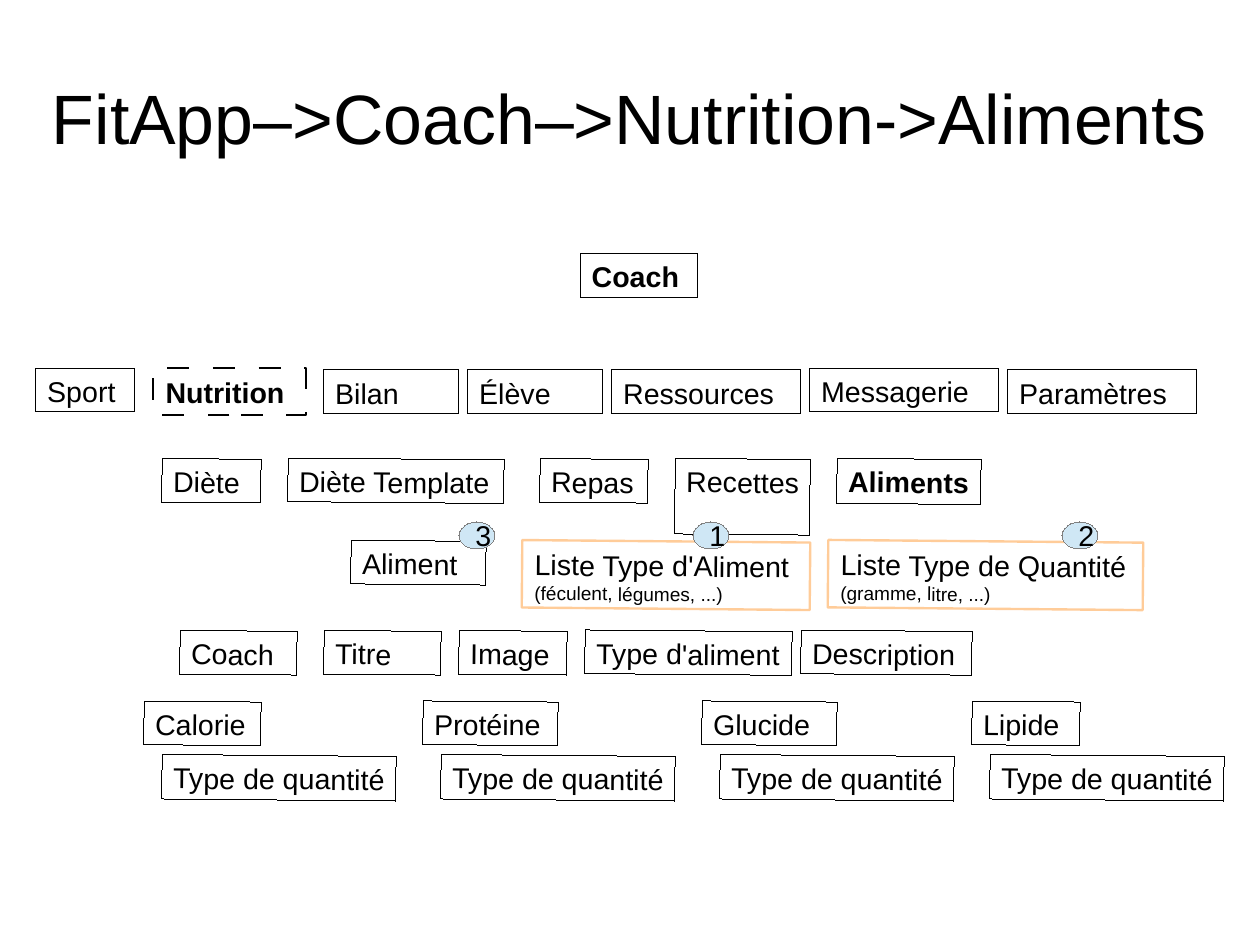
from dataclasses import dataclass

from lxml.etree import SubElement
from pptx import Presentation
from pptx.dml.color import RGBColor as RGB
from pptx.enum.shapes import MSO_SHAPE as Preset
from pptx.enum.text import MSO_ANCHOR as Anchor, PP_ALIGN as Align
from pptx.oxml.ns import qn
from pptx.util import Cm, Inches, Pt


@dataclass(frozen=True)
class Theme:
    font: str = "Arial"
    ink: RGB = RGB(0x00, 0x00, 0x00)
    accent: RGB = RGB(0xFF, 0xCC, 0x99)
    badge_fill: RGB = RGB(0xCF, 0xE7, 0xF5)
    badge_line: RGB = RGB(0x80, 0x80, 0x80)
    title_size: int = 44
    body_size: int = 18
    note_size: int = 12
    thick: float = 1.5


THEME = Theme()
WIDTH, HEIGHT = Cm(28), Cm(21)
COLUMNS, ROWS = 140, 105
BOX_ROWS = 4.85
TILT = 0.5

# Each row of the tree: top, tilt, and (label, column, width in columns)
LEVELS = [
    (40.9, 0, [("Sport", 4, 11), ("Messagerie", 90, 21)]),
    (41.1, 0, [("Bilan", 36, 15), ("Élève", 52, 15),
               ("Ressources", 68, 21), ("Paramètres", 112, 21)]),
    (51, TILT, [("Diète", 18, 11), ("Diète Template", 32, 24), ("Repas", 60, 12)]),
    (60.1, TILT, [("Aliment", 39, 15)]),
    (70.1, TILT, [("Coach", 20, 13), ("Titre", 36, 13), ("Image", 51, 12),
                  ("Type d'aliment", 65, 23), ("Description", 89, 19)]),
]
NUTRIENTS = [("Calorie", 16, 13), ("Protéine", 47, 15),
             ("Glucide", 78, 15), ("Lipide", 108, 12)]
TYPE_LISTS = [("Liste Type d'Aliment", "(féculent, légumes, ...)", 58, 32),
              ("Liste Type de Quantité", "(gramme, litre, ...)", 92, 35)]
BADGES = [("1", 77), ("2", 118), ("3", 51)]


def grid(column, row, columns, rows):
    """Turn grid cells into left, top, width and height."""
    return (round(WIDTH * column / COLUMNS), round(HEIGHT * row / ROWS),
            round(WIDTH * columns / COLUMNS), round(HEIGHT * rows / ROWS))


def write(shape, text, size, bold=False, align=Align.LEFT, anchor=Anchor.TOP,
          insets=(0.1, 0.05, 0.04, 0.05)):
    frame = shape.text_frame
    frame.word_wrap = True
    frame.vertical_anchor = anchor
    (frame.margin_left, frame.margin_top,
     frame.margin_right, frame.margin_bottom) = map(Inches, insets)
    paragraph = frame.paragraphs[0]
    paragraph.alignment = align
    font = paragraph.font
    font.name, font.size, font.bold = THEME.font, Pt(size), bold
    font.color.rgb = THEME.ink
    paragraph.add_run().text = text
    return paragraph


def outline(shape, color, weight=0):
    shape.shadow.inherit = False
    shape.line.color.rgb = color
    # A hairline needs its zero width written out
    shape.line._get_or_add_ln().set("w", str(int(Pt(weight))))


def add_title(slide, text):
    title = slide.shapes.add_textbox(*grid(5, 4.2, 130, 17.5))
    write(title, text, THEME.title_size, align=Align.CENTER,
          anchor=Anchor.MIDDLE, insets=(0, 0, 0, 0))


def add_box(slide, label, column, row, columns, rows=BOX_ROWS, tilt=0, bold=False,
            color=THEME.ink, weight=0):
    box = slide.shapes.add_shape(Preset.RECTANGLE, *grid(column, row, columns, rows))
    box.rotation = tilt
    box.fill.background()
    outline(box, color, weight)
    # Thick frames push their text in by half the line
    insets = (0.11, 0.06, 0.04, 0.06) if weight else (0.1, 0.05, 0.04, 0.05)
    return box, write(box, label, THEME.body_size, bold, insets=insets)


def add_dashed_box(slide, label, column, row, columns, rows):
    box, _ = add_box(slide, label, column, row, columns, rows,
                     bold=True, weight=THEME.thick)
    dashes = SubElement(box.line._get_or_add_ln(), qn("a:custDash"))
    SubElement(dashes, qn("a:ds"), d="920000", sp="1000000")


def add_type_list(slide, label, note, column, columns):
    _, paragraph = add_box(slide, label, column, 60.15, columns, 7.5, tilt=TILT,
                           color=THEME.accent, weight=THEME.thick)
    paragraph.add_line_break()
    examples = paragraph.add_run()
    examples.text = note
    examples.font.size = Pt(THEME.note_size)


def add_badge(slide, number, column):
    badge = slide.shapes.add_shape(Preset.OVAL, *grid(column, 58, 4, 3))
    badge.fill.solid()
    badge.fill.fore_color.rgb = THEME.badge_fill
    outline(badge, THEME.badge_line)
    write(badge, number, THEME.body_size, align=Align.CENTER,
          anchor=Anchor.MIDDLE, insets=(0.1, 0.05, 0.1, 0.05))


def main():
    deck = Presentation()
    deck.slide_width, deck.slide_height = WIDTH, HEIGHT
    slide = deck.slides.add_slide(deck.slide_layouts[6])

    # Title and the current path through the tree
    add_title(slide, "FitApp–>Coach–>Nutrition->Aliments")
    add_box(slide, "Coach", 64.5, 28.15, 13, 4.95, bold=True)
    add_dashed_box(slide, "Nutrition", 17, 40.9, 17, 5.2)
    add_box(slide, "Aliments", 93, 51, 16, 5, tilt=TILT, bold=True)

    # Other entries of each level
    for row, tilt, entries in LEVELS:
        for label, column, columns in entries:
            add_box(slide, label, column, row, columns, tilt=tilt)
    add_box(slide, "Recettes", 75, 51, 15, 8.4, tilt=TILT)

    # Nutrients, each with its quantity type two columns further in
    for label, column, columns in NUTRIENTS:
        add_box(slide, label, column, 77.95, columns, tilt=TILT)
        add_box(slide, "Type de quantité", column + 2, 83.95, 26, 4.95, tilt=TILT)

    # Type lists and numbered steps
    for type_list in TYPE_LISTS:
        add_type_list(slide, *type_list)
    for badge in BADGES:
        add_badge(slide, *badge)

    deck.save("out.pptx")


if __name__ == "__main__":
    main()
